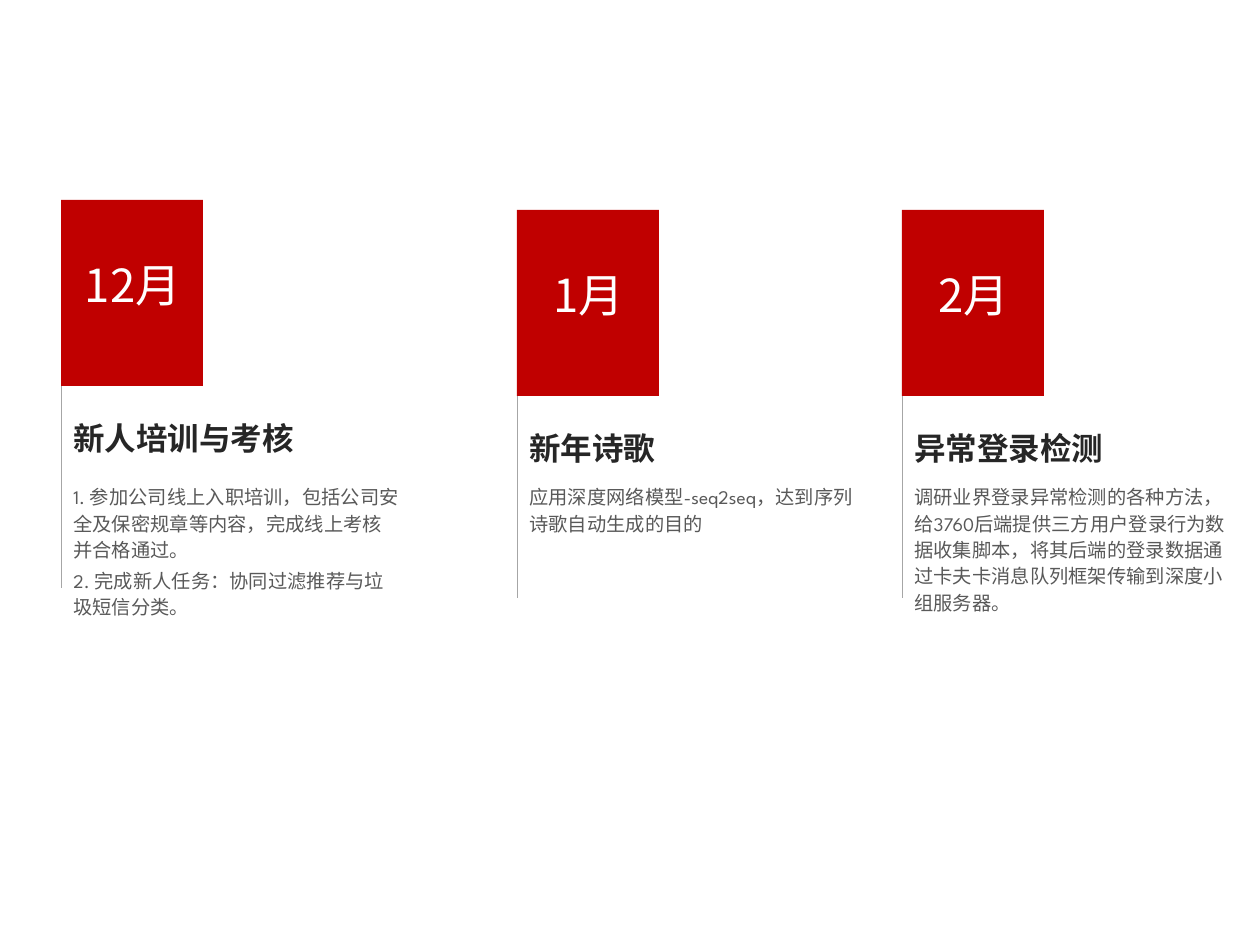
"""Build a three-month work timeline slide with red month cards."""
from dataclasses import dataclass

import lxml.etree
import pptx
import pptx.dml.color
import pptx.enum.shapes
import pptx.enum.text
import pptx.oxml.ns
import pptx.shapes.group
import pptx.util

EMU_PER_PX = 914400 / 126
CARD_W, CARD_H = 142, 186
LINE_H = 202
BODY_TOP = 476


@dataclass(frozen=True)
class TextStyle:
    size: float
    color: str
    font: str
    bold: bool = False
    before: float = 0
    spacing: float = 1.0
    align: pptx.enum.text.PP_ALIGN = pptx.enum.text.PP_ALIGN.LEFT
    anchor: pptx.enum.text.MSO_ANCHOR = pptx.enum.text.MSO_ANCHOR.TOP


@dataclass(frozen=True)
class Theme:
    card: str = "C00000"
    line: str = "A6A6A6"
    line_width: float = 0.5
    east_asian: str = "Noto Sans CJK SC"
    month: TextStyle = TextStyle(
        26, "FFFFFF", "Noto Sans CJK SC", before=6.5,
        align=pptx.enum.text.PP_ALIGN.CENTER,
        anchor=pptx.enum.text.MSO_ANCHOR.MIDDLE)
    heading: TextStyle = TextStyle(18, "262626", "Noto Sans CJK SC", bold=True)
    body: TextStyle = TextStyle(11, "595959", "League Spartan", before=2.8, spacing=1.14)


@dataclass(frozen=True)
class Milestone:
    left: int
    top: int
    month: str
    heading: str
    heading_w: int
    body: tuple[str, ...]


THEME = Theme()
MILESTONES = (
    Milestone(61, 200, "12月", "新人培训与考核", 270, (
        "1. 参加公司线上入职培训，包括公司安全及保密规章等内容，完成线上考核并合格通过。",
        "2. 完成新人任务：协同过滤推荐与垃圾短信分类。")),
    Milestone(517, 210, "1月", "新年诗歌", 183, (
        "应用深度网络模型-seq2seq，达到序列诗歌自动生成的目的",)),
    Milestone(902, 210, "2月", "异常登录检测", 237, (
        "调研业界登录异常检测的各种方法，给3760后端提供三方用户登录行为数据收集脚本，"
        "将其后端的登录数据通过卡夫卡消息队列框架传输到深度小组服务器。",)),
)


def px(value: int) -> pptx.util.Emu:
    """Turn pixels into EMU."""
    return pptx.util.Emu(round(value * EMU_PER_PX))


def rgb(value: str) -> pptx.dml.color.RGBColor:
    """Turn a hex string into a colour."""
    return pptx.dml.color.RGBColor.from_string(value)


def add_card(group: pptx.shapes.group.GroupShape, left: int, top: int) -> None:
    """Draw the red card behind a month."""
    sp = group.shapes.add_shape(
        pptx.enum.shapes.MSO_SHAPE.RECTANGLE, px(left), px(top), px(CARD_W), px(CARD_H))
    sp.shadow.inherit = False
    sp.fill.solid()
    sp.fill.fore_color.rgb = rgb(THEME.card)
    sp.line.fill.background()


def add_rule(group: pptx.shapes.group.GroupShape, left: int, top: int) -> None:
    """Draw the thin vertical line below a card."""
    cxn = group.shapes.add_connector(
        pptx.enum.shapes.MSO_CONNECTOR.STRAIGHT, px(left), px(top), px(left), px(top + LINE_H))
    cxn.line.color.rgb = rgb(THEME.line)
    cxn.line.width = pptx.util.Pt(THEME.line_width)
    lxml.etree.SubElement(cxn._element.spPr, pptx.oxml.ns.qn("a:effectLst"))


def add_text(group: pptx.shapes.group.GroupShape, box: tuple[int, int, int, int],
             paragraphs: tuple[str, ...], style: TextStyle) -> None:
    """Draw a text box with one run per paragraph."""
    tf = group.shapes.add_textbox(*map(px, box)).text_frame
    tf.word_wrap = True
    tf.vertical_anchor = style.anchor
    for i, text in enumerate(paragraphs):
        p = tf.add_paragraph() if i else tf.paragraphs[0]
        p.alignment = style.align
        p.space_before = pptx.util.Pt(style.before)
        p.line_spacing = style.spacing
        r = p.add_run()
        r.text = text
        r.font.size = pptx.util.Pt(style.size)
        r.font.bold = style.bold
        r.font.name = style.font
        r.font.color.rgb = rgb(style.color)
        ea = lxml.etree.SubElement(r.font._element, pptx.oxml.ns.qn("a:ea"))
        ea.set("typeface", THEME.east_asian)


def add_milestone(slide: pptx.slide.Slide, m: Milestone) -> None:
    """Draw one month with its card, line, heading and body as a group."""
    group = slide.shapes.add_group_shape()
    add_card(group, m.left, m.top)
    add_text(group, (m.left - 16, m.top + 22, 176, 125), (m.month,), THEME.month)
    add_rule(group, m.left, m.top + CARD_H)
    add_text(group, (m.left, BODY_TOP, 353, 172), m.body, THEME.body)
    add_text(group, (m.left, m.top + 213, m.heading_w, 50), (m.heading,), THEME.heading)


def main() -> None:
    """Build and save the slide."""
    prs = pptx.Presentation()
    prs.slide_width, prs.slide_height = px(1260), px(945)
    slide = prs.slides.add_slide(prs.slide_layouts[6])
    for m in MILESTONES:
        add_milestone(slide, m)
    prs.save("out.pptx")


if __name__ == "__main__":
    main()
